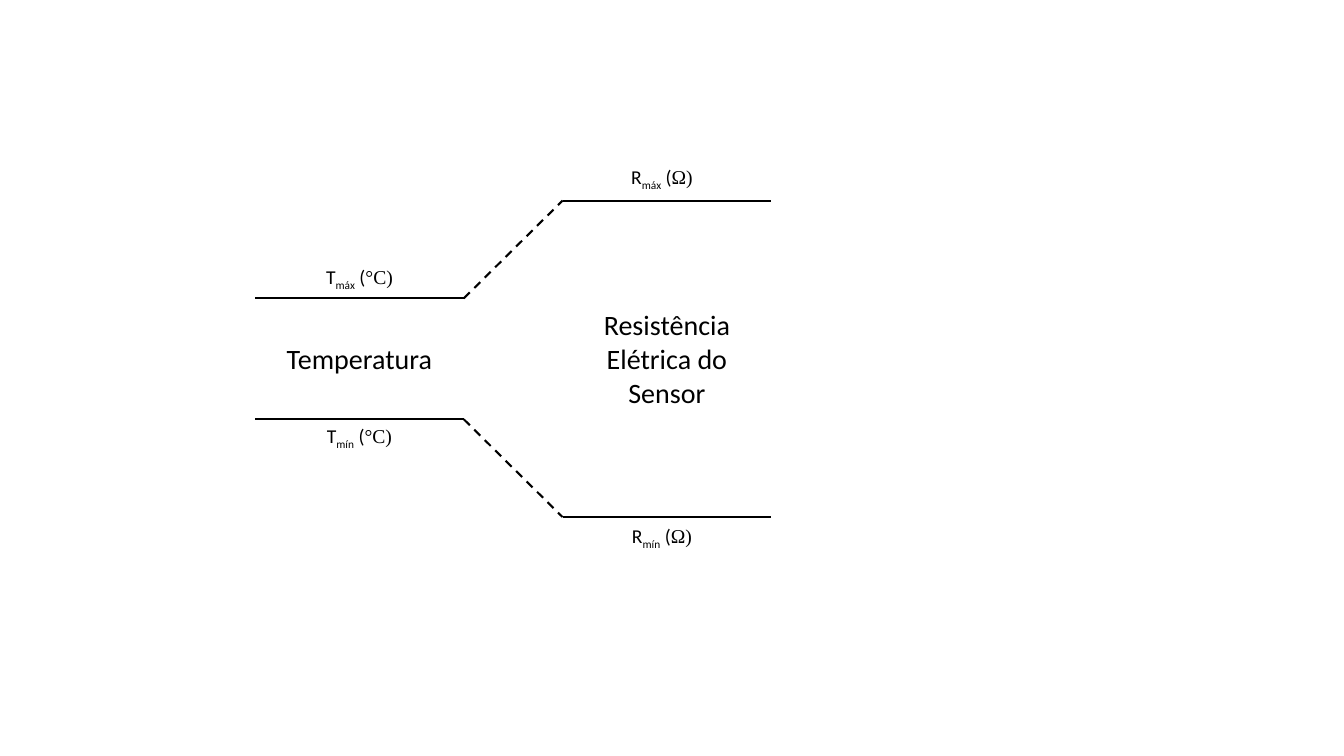
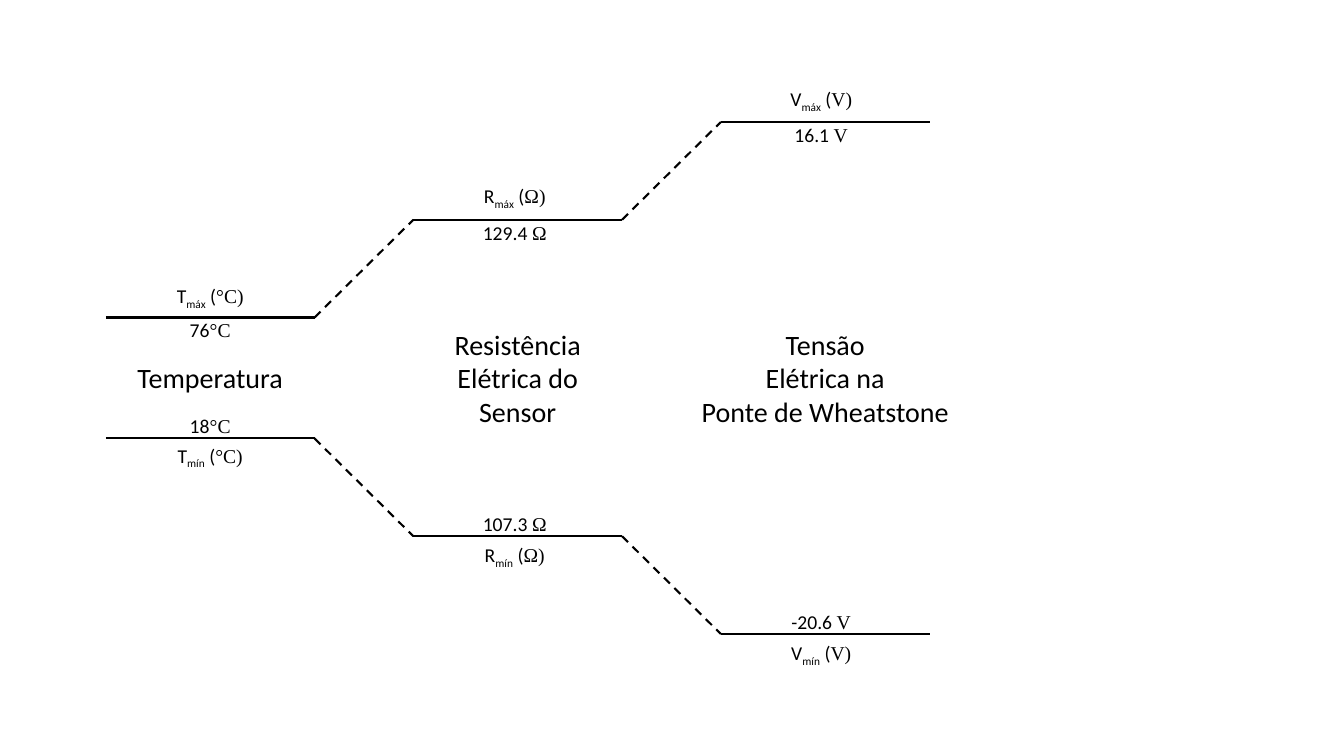
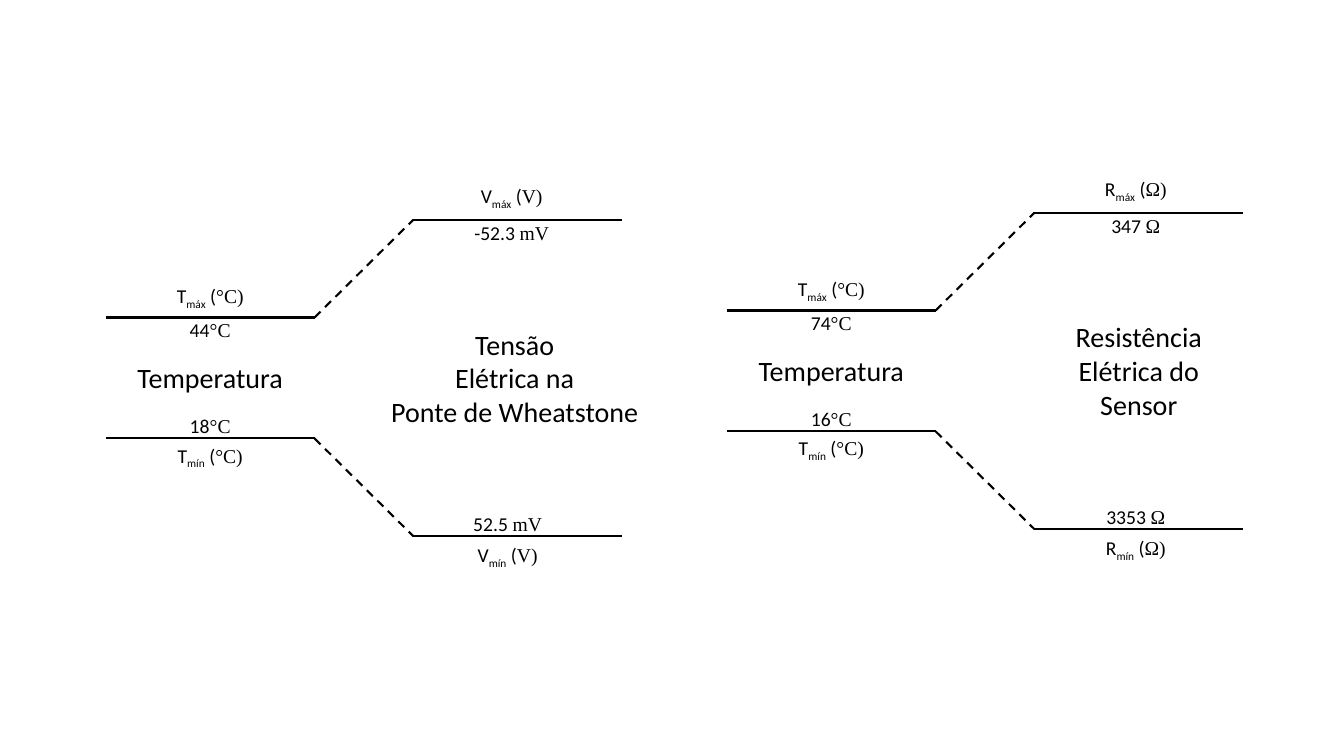
from dataclasses import dataclass

from lxml import etree
from pptx import Presentation
from pptx.dml.color import RGBColor
from pptx.enum.dml import MSO_LINE
from pptx.enum.shapes import MSO_CONNECTOR
from pptx.enum.text import MSO_AUTO_SIZE, PP_ALIGN
from pptx.oxml.ns import qn
from pptx.util import Inches, Pt

STRAIGHT = MSO_CONNECTOR.STRAIGHT
SOLID, DASH = MSO_LINE.SOLID, MSO_LINE.DASH
CENTER = PP_ALIGN.CENTER
GROW = MSO_AUTO_SIZE.SHAPE_TO_FIT_TEXT

# Shared look
INK = "000000"
TEXT_FONT, UNIT_FONT = "Calibri", "Times New Roman"
NAME_SIZE, LABEL_SIZE, LINE_WIDTH = 20, 14, 1.5

# Grid of a range diagram, in inches
RANGE_WIDTH = 2.07    # length of a limit line
LINK_WIDTH = 0.98     # horizontal run of a dashed link
RANGE_STEP = 0.97     # rise and fall from one range to the next
FIRST_HEIGHT = 1.2    # distance between the limits of the first range
LABEL_HEIGHT = 0.34
LABEL_WIDTH = 0.95


@dataclass
class Quantity:
    """One range: its name, symbol, unit and limits."""
    name: tuple
    symbol: str
    unit: str
    values: tuple = ()            # (upper, lower) as (number, unit)
    name_shift: float = 0
    label_shifts: tuple = (0, 0)  # (upper, lower)
    label_gap: float = 0.02


def color(hex_string):
    return RGBColor.from_string(hex_string)


def temperature(*limits):
    values = tuple((limit, "°C") for limit in limits)
    return Quantity(("Temperatura",), "T", "°C", values, label_gap=0)


def resistance(*limits, shift=-0.03):
    values = tuple((f"{limit} ", "Ω") for limit in limits)
    return Quantity(("Resistência", "Elétrica do", "Sensor"), "R", "Ω",
                    values, label_shifts=(shift, shift))


def voltage(unit, *limits, **shifts):
    values = tuple((f"{limit} ", unit) for limit in limits)
    return Quantity(("Tensão", "Elétrica na", "Ponte de Wheatstone"),
                    "V", "V", values, **shifts)


def add_line(slide, start, end, dash=SOLID):
    ends = [Inches(value) for value in (*start, *end)]
    connector = slide.shapes.add_connector(STRAIGHT, *ends)
    line = connector.line
    line.color.rgb = color(INK)
    for name, value in {"width": Pt(LINE_WIDTH), "dash_style": dash}.items():
        setattr(line, name, value)
    etree.SubElement(connector._element.spPr, qn("a:effectLst"))


def add_run(paragraph, text, size, font=TEXT_FONT, subscript=False):
    run = paragraph.add_run()
    run.text = text
    for name, value in {"size": Pt(size), "name": font}.items():
        setattr(run.font, name, value)
    run.font.color.rgb = color(INK)
    if subscript:
        run._r.get_or_add_rPr().set("baseline", "-25000")


def add_text(slide, center, top, width, height, size, lines):
    """Add centred text; each line is a list of (text, run format) pairs."""
    box = slide.shapes.add_textbox(Inches(center - width / 2), Inches(top),
                                   Inches(width), Inches(height))
    frame = box.text_frame
    for name, value in {"word_wrap": False, "auto_size": GROW}.items():
        setattr(frame, name, value)
    for index, runs in enumerate(lines):
        paragraph = frame.add_paragraph() if index else frame.paragraphs[0]
        paragraph.alignment = CENTER
        for text, run_format in runs:
            add_run(paragraph, text, size, **run_format)


def add_name(slide, center, middle, lines):
    width = 0.3 + 0.13 * max(len(line) for line in lines)
    height = 0.12 + 0.33 * len(lines)
    add_text(slide, center, middle - height / 2, width, height, NAME_SIZE,
             [[(line, {})] for line in lines])


def add_limit_label(slide, center, top, quantity, limit):
    runs = [(quantity.symbol, {}), (limit, {"subscript": True}), (" (", {}),
            (f"{quantity.unit})", {"font": UNIT_FONT})]
    add_text(slide, center, top, LABEL_WIDTH, LABEL_HEIGHT, LABEL_SIZE, [runs])


def add_value(slide, center, top, number, unit):
    width = 0.3 + 0.1 * len(number + unit)
    add_text(slide, center, top, width, LABEL_HEIGHT, LABEL_SIZE,
             [[(number, {}), (unit, {"font": UNIT_FONT})]])


def add_range(slide, left, upper, lower, quantity):
    """Draw both limits of a quantity with its name between them."""
    center = left + RANGE_WIDTH / 2
    add_name(slide, center + quantity.name_shift, (upper + lower) / 2,
             quantity.name)
    label_tops = (upper - 0.38 - quantity.label_gap,
                  lower + quantity.label_gap)
    centers = [center + shift for shift in quantity.label_shifts]
    for limit_y in (upper, lower):
        add_line(slide, (left, limit_y), (left + RANGE_WIDTH, limit_y))
    for limit, label_center, top in zip(("máx", "mín"), centers, label_tops):
        add_limit_label(slide, label_center, top, quantity, limit)
    value_tops = (upper - 0.04, lower - 0.29)
    for value, value_center, top in zip(quantity.values, centers, value_tops):
        add_value(slide, value_center, top, *value)


def add_range_diagram(slide, left, top, quantities):
    """Draw widening ranges from left to right, joined by dashed links."""
    for index, quantity in enumerate(quantities):
        x = left + index * (RANGE_WIDTH + LINK_WIDTH)
        upper = top - index * RANGE_STEP
        lower = top + FIRST_HEIGHT + index * RANGE_STEP
        add_range(slide, x, upper, lower, quantity)
        if index:
            for y, step in ((upper, RANGE_STEP), (lower, -RANGE_STEP)):
                add_line(slide, (x - LINK_WIDTH, y + step), (x, y), DASH)


def main():
    presentation = Presentation()
    presentation.slide_width = Inches(13.33)
    presentation.slide_height = Inches(7.5)
    blank = presentation.slide_layouts[6]

    # Each slide lists its diagrams: left, top of first range, quantities
    bridge = voltage("V", "16.1", "-20.6", label_shifts=(-0.04, -0.04))
    bridge_millivolts = voltage("mV", "-52.3", "52.5", name_shift=-0.03,
                                label_shifts=(-0.06, -0.1))
    slides = [
        [(2.53, 2.96, [temperature(), resistance(shift=-0.05)])],
        [(1.05, 3.15, [temperature("76", "18"),
                       resistance("129.4", "107.3"), bridge])],
        [(1.05, 3.15, [temperature("44", "18"), bridge_millivolts]),
         (7.21, 3.08, [temperature("74", "16"), resistance("347", "3353")])],
    ]
    for diagrams in slides:
        slide = presentation.slides.add_slide(blank)
        for diagram in diagrams:
            add_range_diagram(slide, *diagram)

    presentation.save("out.pptx")


if __name__ == "__main__":
    main()
